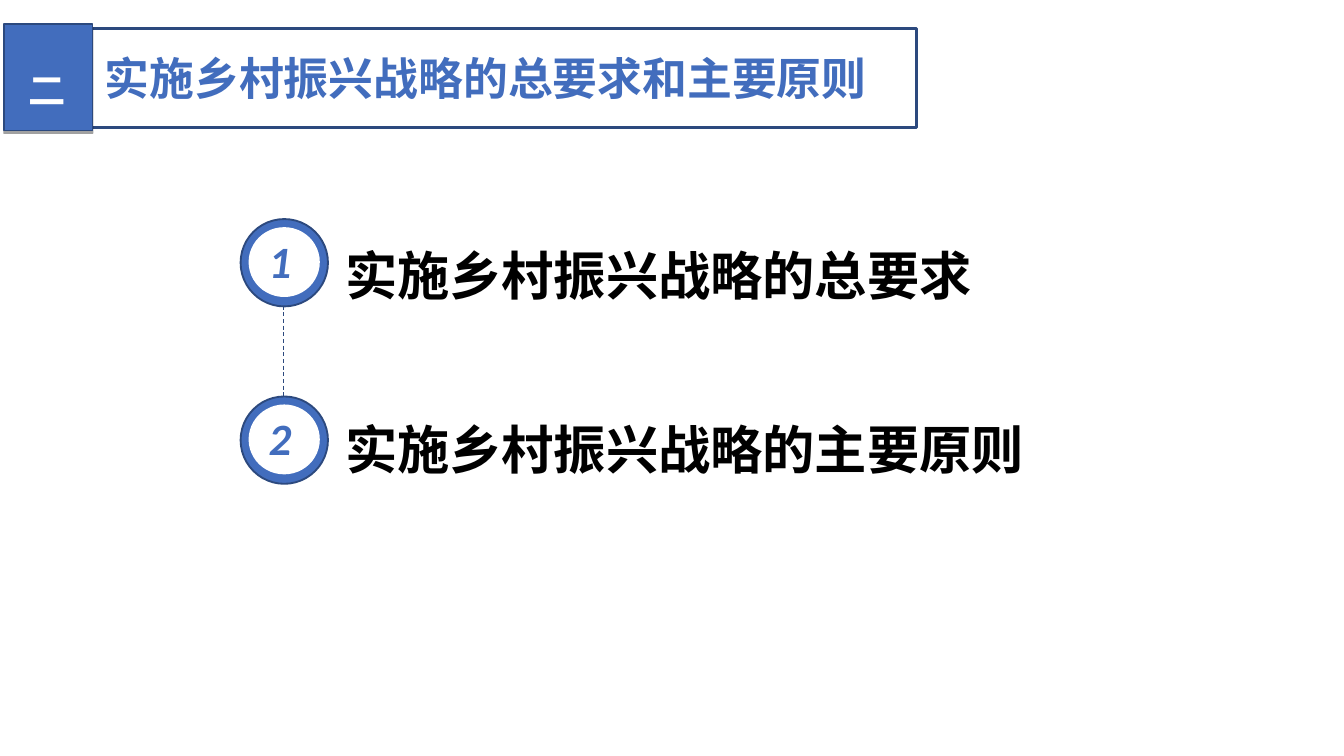
import pptx
import pptx.util
import pptx.dml.color
import pptx.enum.dml
import pptx.enum.shapes
import pptx.enum.text
import pptx.oxml
import pptx.oxml.ns
import lxml.etree

Inches = pptx.util.Inches
Pt = pptx.util.Pt
SHAPE = pptx.enum.shapes.MSO_SHAPE
ALIGN = pptx.enum.text.PP_ALIGN
ANCHOR = pptx.enum.text.MSO_ANCHOR
qn = pptx.oxml.ns.qn
BLUE, NAVY, WHITE, BLACK = "426DBD", "2C497E", "FFFFFF", "000000"
CHINESE = "Noto Sans CJK SC"


def color(value):
    return pptx.dml.color.RGBColor.from_string(value)


def add_block(shapes, kind, place, fill, line_width=0):
    block = shapes.add_shape(kind, *map(Inches, place))
    block.shadow.inherit = False
    block.fill.solid()
    block.fill.fore_color.rgb = color(fill)
    if line_width:
        block.line.color.rgb = color(NAVY)
        block.line.width = Pt(line_width)
    else:
        block.line.fill.background()
    return block


deck = pptx.Presentation()
deck.slide_width = Inches(10)
deck.slide_height = deck.slide_width * 9 // 16
page = deck.slides.add_slide(deck.slide_layouts[5])
texts = []

title = page.shapes.title
title.left, title.top, title.width, title.height = map(Inches, (0.68, 0.21, 6.14, 0.74))
title.fill.solid()
title.fill.fore_color.rgb = color(WHITE)
title.line.color.rgb = color(NAVY)
title.line.width = Pt(1.5)
texts.append((title, "实施乡村振兴战略的总要求和主要原则", ANCHOR.MIDDLE,
              {"alignment": ALIGN.LEFT},
              {"name": CHINESE, "size": Pt(24), "bold": True}, BLUE))

panel = add_block(page.shapes, SHAPE.RECTANGLE, (0.6, 1.3, 7.99, 2.81), WHITE)
panel_color = panel.fill._xPr.find(qn("a:solidFill"))[0]
lxml.etree.SubElement(panel_color, qn("a:alpha"), val="60000")

connector = page.shapes.add_connector(
    pptx.enum.shapes.MSO_CONNECTOR.STRAIGHT,
    Inches(2.11), Inches(1.63), Inches(2.11), Inches(3.6))
connector.line.color.rgb = color(NAVY)
connector.line.width = Pt(0.5)
connector.line.dash_style = pptx.enum.dml.MSO_LINE.DASH
lxml.etree.SubElement(connector._element.spPr, qn("a:effectLst"))

items = [
    ("1", "实施乡村振兴战略的总要求", 1.63, 1.53, 4.94),
    ("2", "实施乡村振兴战略的主要原则", 2.95, 2.82, 5.33),
]
for number, heading, top, heading_top, width in items:
    group = page.shapes.add_group_shape()
    add_block(group.shapes, SHAPE.OVAL, (1.79, top, 0.65, 0.65), BLUE, 1)
    add_block(group.shapes, SHAPE.OVAL, (1.85, top + 0.06, 0.53, 0.52), WHITE)
    number_box = group.shapes.add_textbox(*map(Inches, (1.9, top + 0.06, 0.43, 0.5)))
    heading_box = group.shapes.add_textbox(*map(Inches, (2.47, heading_top, width, 0.7)))
    texts.append((number_box, number, ANCHOR.TOP, {},
                  {"name": "Calibri", "size": Pt(24), "bold": True, "italic": True}, BLUE))
    texts.append((heading_box, heading, ANCHOR.TOP, {"line_spacing": 1.5},
                  {"name": CHINESE, "size": Pt(28), "bold": True}, BLACK))

badge = add_block(page.shapes, SHAPE.RECTANGLE, (0.03, 0.18, 0.66, 0.79), BLUE, 0.75)
effects = badge._element.spPr.find(qn("a:effectLst"))
shadow = lxml.etree.SubElement(effects, qn("a:outerShdw"), blurRad="0",
                               dist=str(Pt(1.6)), dir="5400000", rotWithShape="0")
shadow_color = lxml.etree.SubElement(shadow, qn("a:srgbClr"), val=BLACK)
lxml.etree.SubElement(shadow_color, qn("a:alpha"), val="37000")

badge_box = page.shapes.add_textbox(*map(Inches, (-0.25, 0.36, 1.21, 0.62)))
texts.append((badge_box, "二", ANCHOR.MIDDLE, {"alignment": ALIGN.CENTER},
              {"name": CHINESE, "size": Pt(20), "bold": True}, WHITE))

for box, text, anchor, para_format, font_format, text_color in texts:
    frame = box.text_frame
    frame.word_wrap = True
    frame.auto_size = pptx.enum.text.MSO_AUTO_SIZE.NONE
    frame.vertical_anchor = anchor
    para = frame.paragraphs[0]
    for name, value in para_format.items():
        setattr(para, name, value)
    span = para.add_run()
    span.text = text
    for name, value in font_format.items():
        setattr(span.font, name, value)
    span.font.color.rgb = color(text_color)
    latin = span.font._element.find(qn("a:latin"))
    east_asian = pptx.oxml.parse_xml(
        f'<a:ea {pptx.oxml.ns.nsdecls("a")} typeface="{font_format["name"]}"/>')
    latin.addnext(east_asian)

deck.save("out.pptx")
